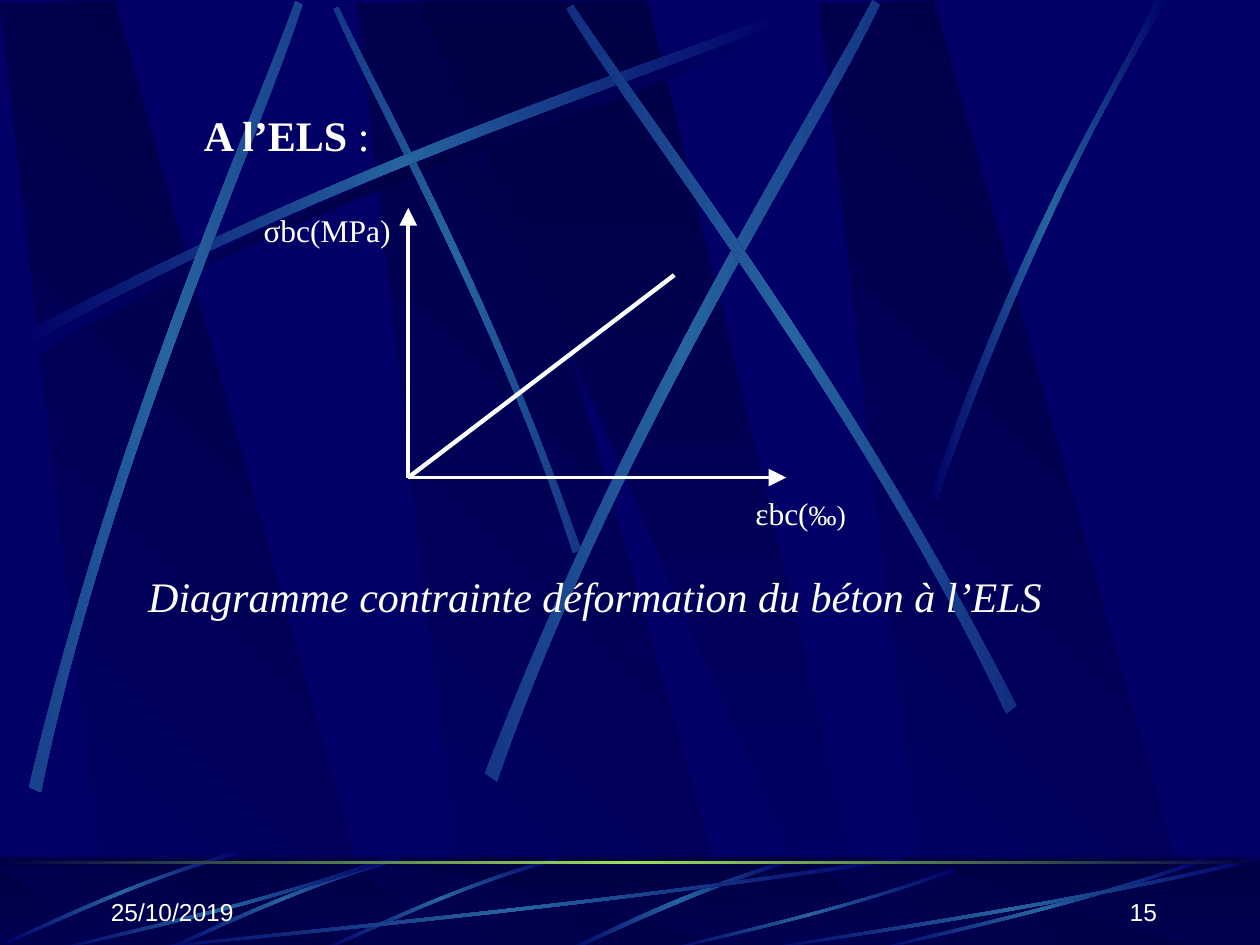
from lxml.etree import SubElement
from pptx import Presentation
from pptx.dml.color import RGBColor
from pptx.enum.shapes import MSO_CONNECTOR as Link, MSO_SHAPE as Preset
from pptx.enum.text import MSO_ANCHOR as Anchor, PP_ALIGN as Align
from pptx.oxml import parse_xml
from pptx.oxml.ns import nsdecls, qn
from pptx.util import Pt

COLORS = {"ground": "000066", "dark": "000044", "beam": "2663A0", "lime": "9CE157", "ink": "FFFFFF"}
PANEL = [(28.5, 99.7), (100, 100), (30.1, 0), (0, 0.3)]
WEDGE = [(0, 0), (90, 100), (100, 100), (50, 0)]
STROKE = [(0, 96.3), (43.4, 43.1), (82.9, 15.4), (99.7, 0),
          (100, 2.2), (83.6, 19.1), (38.5, 49.8), (0.5, 100)]
STREAK = [(0, 99.2), (40.2, 43.6), (79.4, 16.6), (94.7, 0),
          (100, 0), (51.9, 36.5), (16.4, 81.1), (3.2, 100)]
ARC = [(99.4, 0), (49.4, 37), (16.1, 82.2), (0, 98.6),
       (2.8, 100), (23.3, 76.7), (68.3, 24.7), (100, 4.1)]
SWEEP = [(100, 4), (56.7, 57.3), (17.2, 85.3), (0.5, 100),
         (0, 98.7), (16.5, 81.3), (61.5, 50.7), (99.5, 0)]
PANEL_LEFTS = (204, 0, 468)
GLOW = ("ground", "beam", "ground")
SHADE = ("ground", "dark", "ground")


def rgb(name):
    """Return the named colour."""
    return RGBColor.from_string(COLORS[name])


def paint(shape, names, angle=0, alpha=100):
    """Fill a shape with evenly spaced colour stops, or with one colour, and drop its outline."""
    shape.shadow.inherit = False
    shape.line.fill.background()
    veil = "" if alpha == 100 else f'<a:alpha val="{alpha * 1000}"/>'
    shades = [f'<a:srgbClr val="{COLORS[name]}">{veil}</a:srgbClr>' for name in names]
    if len(names) == 1:
        fill = f'<a:solidFill {nsdecls("a")}>{shades[0]}</a:solidFill>'
    else:
        step = 100000 // (len(names) - 1)
        stops = "".join(f'<a:gs pos="{i * step}">{shade}</a:gs>' for i, shade in enumerate(shades))
        fill = (f'<a:gradFill {nsdecls("a")} rotWithShape="0"><a:gsLst>{stops}</a:gsLst>'
                f'<a:lin ang="{angle * 60000}" scaled="0"/></a:gradFill>')
    shape.element.spPr.find(qn("a:ln")).addprevious(parse_xml(fill))


def add_bar(page, box, names, **look):
    """Add a painted rectangle."""
    paint(page.shapes.add_shape(Preset.RECTANGLE, *map(Pt, box)), names, **look)


def add_outline(page, box, points, names, angle=0):
    """Draw a closed outline given in percent of its box."""
    left, top, width, height = box
    places = [(Pt(left + x * width / 100), Pt(top + y * height / 100)) for x, y in points]
    builder = page.shapes.build_freeform(*places[0], scale=1.0)
    builder.add_line_segments(places[1:], close=True)
    shape = builder.convert_to_shape()
    paint(shape, names, angle)
    return shape


def add_beam(page, box, edges, names=GLOW, rotation=0, flip=False):
    """Draw a tapering band between two curved edges."""
    points = [(100 - x, y) for x, y in edges] if flip else edges
    shape = add_outline(page, box, points, names)
    shape.rotation = rotation
    outline = shape.element.spPr.find(".//" + qn("a:path"))
    steps = outline.findall(qn("a:lnTo"))
    for group in (steps[:3], steps[4:7]):
        curve = SubElement(outline, qn("a:cubicBezTo"))
        group[0].addprevious(curve)
        for step in group:
            curve.append(step[0])
            outline.remove(step)


def add_panels(page, top, height):
    """Draw the three slanted panels and the wedge over them."""
    for left in PANEL_LEFTS:
        add_outline(page, (left, top, 217.5, height), PANEL, ("ground", "dark"), 315)
    add_outline(page, (240, top, 260, height), WEDGE, ("dark", "ground"), 90)


def add_backdrop(page):
    """Draw the panels and crossing beams of the main area."""
    add_panels(page, 0.5, 541.5)
    wide = (437.8, 192.2)
    add_beam(page, (14.4, 13, *wide), STROKE, SHADE)
    add_beam(page, (101.5, 97.2, 318.2, 126), STROKE, rotation=45, flip=True)
    add_beam(page, (10, 7.2, *wide), STROKE)
    add_beam(page, (-123.1, 131, *wide), STROKE, rotation=311.7)
    add_beam(page, (166.3, 115.2, 449.3, 216.7), STROKE, rotation=321.6)
    add_beam(page, (232.6, 109.4, *wide), STROKE, rotation=34.7, flip=True)
    add_beam(page, (531.4, 0, 136, 285.8), STREAK)


def add_footer(page, box):
    """Draw the decorated band with the date and page number."""
    left, top, width, height = box
    add_bar(page, box, ("dark", "ground"), angle=90)
    add_panels(page, top + 5.8, 47.5)
    add_bar(page, box, ("dark",), alpha=50)
    add_beam(page, (left + 322.6, top + 1.4, 129.6, 52.6), ARC)
    for x, y in ((185.8, -2.9), (95.8, -2.9), (3.6, -6.5)):
        add_beam(page, (left + x, top + y, 132, 60), STROKE, rotation=315, flip=True)
    for x, y, span in ((72, 0, 444), (30, 0, 192), (379.4, 6.5, 166.3), (498, 0, 192), (432, 0, 288)):
        add_beam(page, (left + x, top + y, span, height - y), SWEEP)
    add_bar(page, (left, top + 2.7, width, 1.7), ("dark", "lime", "dark"))
    small = {"name": "Arial", "size": Pt(14)}
    for x, words, align in ((56.2, "25/10/2019", Align.LEFT), (518.4, "15", Align.RIGHT)):
        add_text(page, (left + x, top + 7.2, 149.8, 36), [(words, small)], align, Anchor.BOTTOM)


def add_text(page, box, spans, align=Align.CENTER, anchor=Anchor.TOP):
    """Add one paragraph made of formatted spans."""
    frame = page.shapes.add_textbox(*map(Pt, box)).text_frame
    frame.word_wrap = True
    frame.vertical_anchor = anchor
    para = frame.paragraphs[0]
    para.alignment = align
    for words, values in spans:
        span = para.add_run()
        span.text = words
        span.font.color.rgb = rgb("ink")
        for key, value in {"name": "Times New Roman", **values}.items():
            setattr(span.font, key, value)


def add_ray(page, start, end, weight, arrow):
    """Draw a straight line, with an arrowhead at its end if asked."""
    ray = page.shapes.add_connector(Link.STRAIGHT, *map(Pt, (*start, *end)))
    ray.line.color.rgb = rgb("ink")
    ray.line.width = Pt(weight)
    if arrow:
        tip = parse_xml(f'<a:tailEnd {nsdecls("a")} type="triangle" w="lg" len="lg"/>')
        ray.element.spPr.find(qn("a:ln")).append(tip)
    ray.element.spPr.append(parse_xml(f'<a:effectLst {nsdecls("a")}/>'))


def add_diagram(page, box):
    """Draw the stress and strain axes, the linear law and the labels."""
    left, top, width, height = box
    origin = (left, top + height)
    add_ray(page, origin, (left, top), 2, True)
    add_ray(page, origin, (left + width, top + height), 2, True)
    add_ray(page, origin, (left + 152, top + 38.4), 2.5, False)
    label = {"size": Pt(18)}
    add_text(page, (left - 94.6, top - 1.8, 96.5, 28.8), [("σbc(MPa)", label)])
    add_text(page, (left + 176, top + 159.8, 96.5, 28.8), [("εbc(", label), ("‰)", {"size": Pt(16)})])
    add_text(page, (left - 156.8, top + 203.8, 527, 36),
             [("Diagramme contrainte déformation du béton à l’ELS", {"size": Pt(24), "italic": True})])


def main():
    """Build and save the deck."""
    deck = Presentation()
    deck.slide_width, deck.slide_height = Pt(720), Pt(540)
    page = deck.slides.add_slide(deck.slide_layouts[6])
    page.background.fill.solid()
    page.background.fill.fore_color.rgb = rgb("ground")
    add_backdrop(page)
    add_footer(page, (0, 489.6, 720, 54))
    add_text(page, (75.6, 31.7, 176.4, 90),
             [("A l’ELS", {"size": Pt(24), "bold": True}), (" :", {"size": Pt(24)})], anchor=Anchor.MIDDLE)
    add_diagram(page, (233.3, 118.8, 216, 154.1))
    deck.save("out.pptx")


if __name__ == "__main__":
    main()
